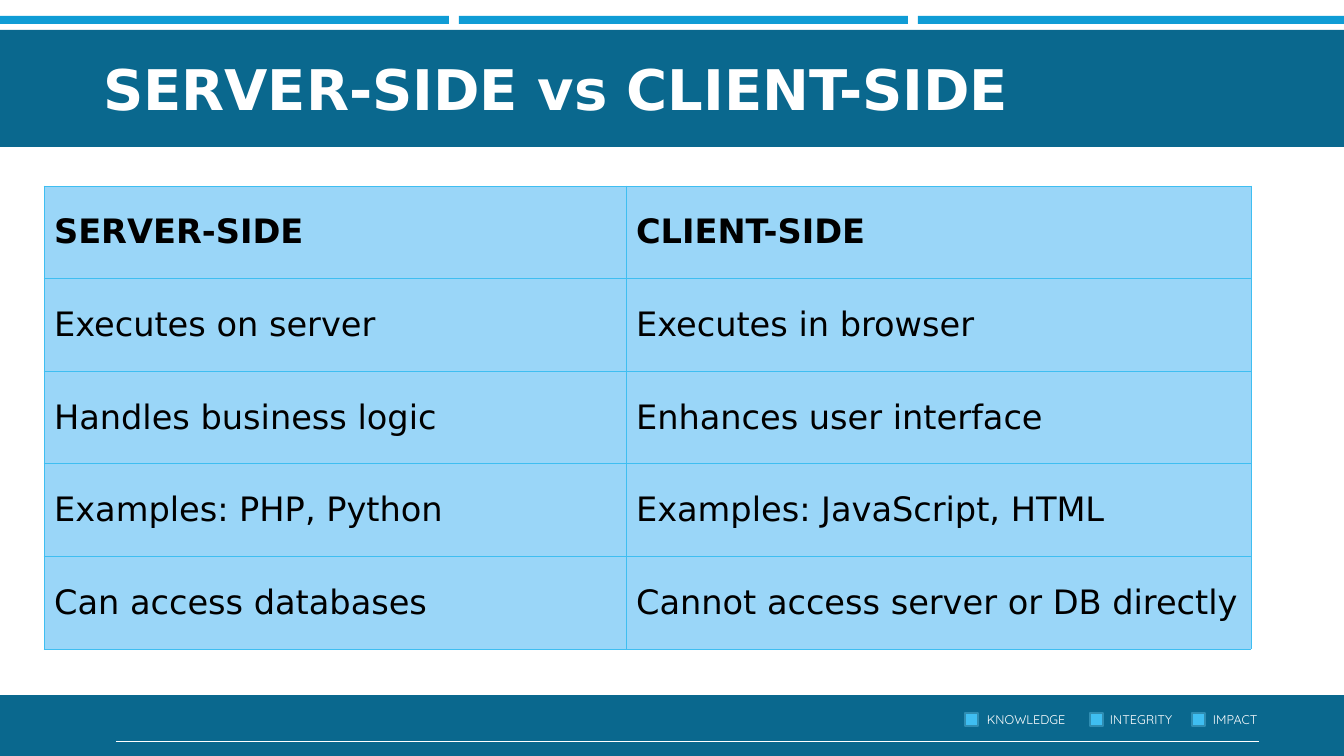
from lxml import etree
from pptx import Presentation
from pptx.dml.color import RGBColor
from pptx.enum.shapes import MSO_CONNECTOR, MSO_SHAPE
from pptx.enum.text import MSO_ANCHOR, MSO_AUTO_SIZE, PP_ALIGN
from pptx.oxml.ns import qn
from pptx.util import Pt

RECT, LINE = MSO_SHAPE.RECTANGLE, MSO_CONNECTOR.STRAIGHT
MIDDLE, BOTTOM = MSO_ANCHOR.MIDDLE, MSO_ANCHOR.BOTTOM
LEFT, NO_FIT = PP_ALIGN.LEFT, MSO_AUTO_SIZE.NONE

DEEP, BRIGHT, SKY, PALE = "0A688E", "0F9CD5", "3FBEF1", "9AD6F8"
EDGE, WHITE, BLACK = "2F8DB2", "FFFFFF", "000000"
BODY_FONT, FOOTER_FONT = "DejaVu Sans", "Quicksand"

WIDTH, HEIGHT = 1344, 756
EMU_PER_PX = 914400 / 100.8

TITLE = "SERVER-SIDE vs CLIENT-SIDE"
ROWS = [
    ("SERVER-SIDE", "CLIENT-SIDE"),
    ("Executes on server", "Executes in browser"),
    ("Handles business logic", "Enhances user interface"),
    ("Examples: PHP, Python", "Examples: JavaScript, HTML"),
    ("Can access databases", "Cannot access server or DB directly"),
]
# word, marker offset, text offset
VALUES = [("KNOWLEDGE", 965, 987), ("INTEGRITY", 1090, 1110), ("IMPACT", 1192, 1213)]


def px(n):
    return round(n * EMU_PER_PX)


def color(value):
    return RGBColor.from_string(value)


def set_all(obj, **values):
    for name, value in values.items():
        setattr(obj, name, value)


def write(tf, text, size, font, fill, bold=False):
    p = tf.paragraphs[0]
    p.alignment = LEFT
    r = p.add_run()
    r.text = text
    set_all(r.font, size=Pt(size), name=font, bold=bold)
    r.font.color.rgb = color(fill)
    return p


def add_rect(slide, x, y, w, h, fill, line=None):
    sp = slide.shapes.add_shape(RECT, px(x), px(y), px(w), px(h))
    sp.shadow.inherit = False
    sp.fill.solid()
    sp.fill.fore_color.rgb = color(fill)
    if line:
        sp.line.color.rgb = color(line)
        sp.line.width = Pt(1)
    else:
        sp.line.fill.background()


def add_header(slide, x, y, w, h):
    """Three accent strips above a title band."""
    strip, gap = 449, 10
    for i in range(3):
        left = x + i * (strip + gap)
        add_rect(slide, left, y, min(strip, x + w - left), 8, BRIGHT)
    add_rect(slide, x, y + 14, w, h - 14, DEEP)

    title = slide.shapes.title
    title.element.getparent().append(title.element)
    set_all(title, left=px(x + 93), top=px(y + 28), width=px(1159), height=px(84))
    tf = title.text_frame
    set_all(tf, word_wrap=True, auto_size=NO_FIT, vertical_anchor=BOTTOM)
    write(tf, TITLE, 40, BODY_FONT, WHITE, True).line_spacing = 0.9


def set_borders(cell, line):
    pr = cell._tc.get_or_add_tcPr()
    for i, side in enumerate(("lnL", "lnR", "lnT", "lnB")):
        ln = etree.Element(qn(f"a:{side}"), w=str(Pt(0.5)))
        fill = etree.SubElement(ln, qn("a:solidFill"))
        etree.SubElement(fill, qn("a:srgbClr"), val=line)
        pr.insert(i, ln)


def add_comparison(slide, x, y, w, h):
    frame = slide.shapes.add_table(len(ROWS), 2, px(x), px(y), px(w), px(h))
    table = frame.table
    first = 582
    for column, width in zip(table.columns, (first, w - first)):
        column.width = px(width)
    for i, texts in enumerate(ROWS):
        table.rows[i].height = px(h / len(ROWS))
        for j, text in enumerate(texts):
            cell = table.cell(i, j)
            cell.vertical_anchor = MIDDLE
            cell.fill.solid()
            cell.fill.fore_color.rgb = color(PALE)
            write(cell.text_frame, text, 24, BODY_FONT, BLACK, i == 0)
            set_borders(cell, SKY)


def add_footer(slide, x, y, w, h):
    """Band with the marked values and a thin rule."""
    add_rect(slide, x, y, w, h, DEEP)
    rule_y = px(y + 46)
    rule = slide.shapes.add_connector(LINE, px(x + 116), rule_y, px(x + 1259), rule_y)
    rule.line.color.rgb = color(WHITE)
    rule.line.width = Pt(0.5)
    etree.SubElement(rule._element.spPr, qn("a:effectLst"))
    for word, marker, text in VALUES:
        add_rect(slide, x + marker, y + 18, 13, 13, SKY, EDGE)
        sp = slide.shapes.add_textbox(px(x + text), px(y + 12), px(90), px(25))
        tf = sp.text_frame
        set_all(tf, word_wrap=True, vertical_anchor=MIDDLE,
                margin_left=0, margin_right=0, margin_top=0, margin_bottom=0)
        write(tf, word, 9, FOOTER_FONT, WHITE)


def main():
    prs = Presentation()
    set_all(prs, slide_width=px(WIDTH), slide_height=px(HEIGHT))
    slide = prs.slides.add_slide(prs.slide_layouts[5])
    add_footer(slide, 0, 695, WIDTH, 61)
    add_header(slide, 0, 16, WIDTH, 131)
    add_comparison(slide, 44, 186, 1207, 463)
    prs.save("out.pptx")


if __name__ == "__main__":
    main()
